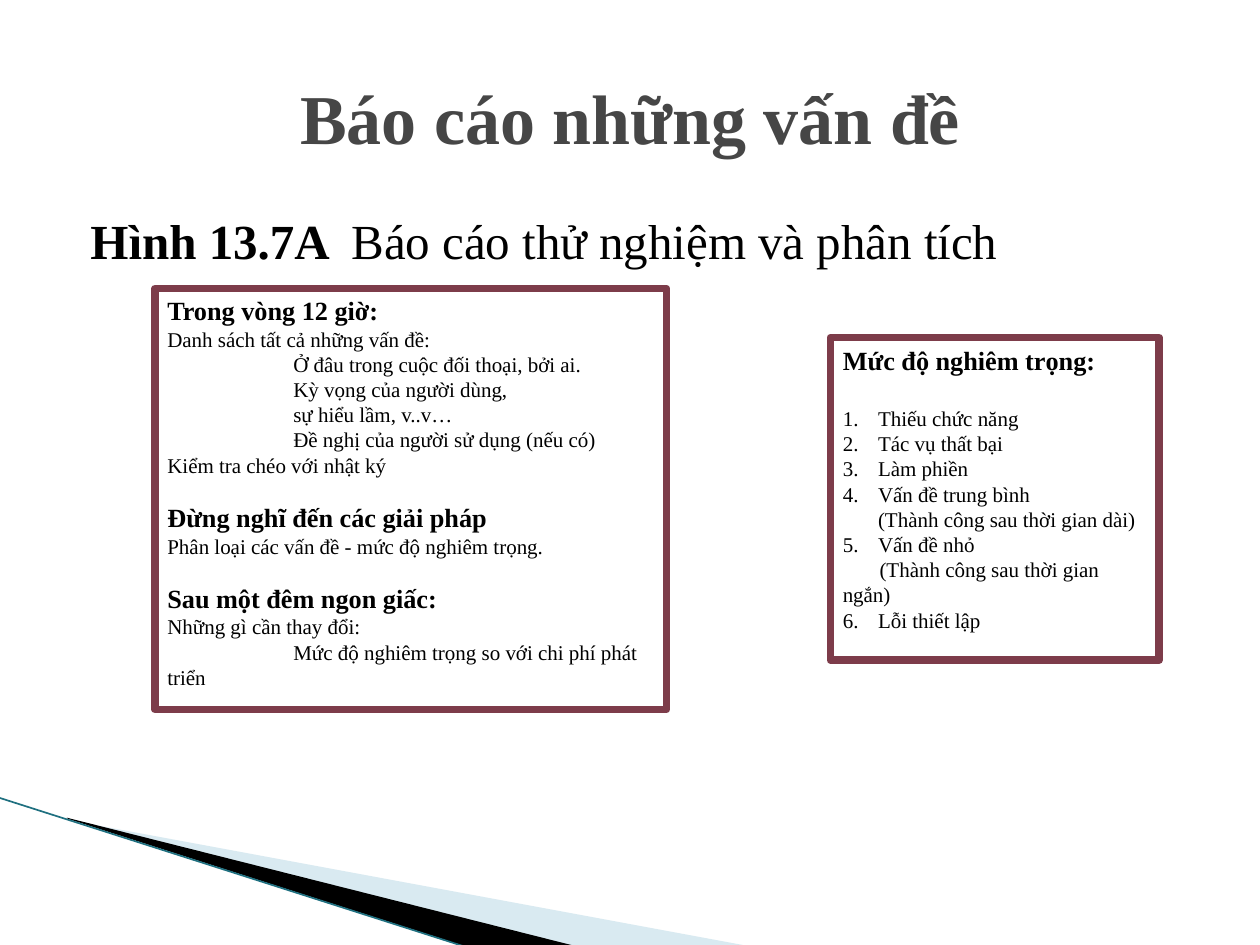
"""Build the slide on reporting test problems."""
from lxml.etree import SubElement
from pptx import Presentation
from pptx.dml.color import RGBColor
from pptx.enum.shapes import MSO_CONNECTOR, MSO_SHAPE
from pptx.enum.text import MSO_ANCHOR, PP_ALIGN
from pptx.oxml.ns import qn
from pptx.util import Pt

BLACK = RGBColor(0, 0, 0)
WHITE = RGBColor(255, 255, 255)
GREY = RGBColor(0x46, 0x46, 0x46)
WINE = RGBColor(0x7D, 0x3C, 0x4A)
PALE = RGBColor(0xA0, 0xCB, 0xDC)
TEAL = RGBColor(0x1F, 0x70, 0x80)


def add_run(para, text, size, bold=False, color=BLACK):
    run = para.add_run()
    run.text = text
    font = run.font
    font.name, font.size, font.bold = "Times New Roman", Pt(size), bold
    font.color.rgb = color


def set_indent(para, left, first):
    props = para._p.get_or_add_pPr()
    props.set("marL", str(Pt(left)))
    props.set("indent", str(Pt(first)))
    return props


deck = Presentation()
deck.slide_width, deck.slide_height = Pt(720), Pt(540)
slide = deck.slides.add_slide(deck.slide_layouts[6])
shapes = slide.shapes

wedges = [
    (PALE, [(39.6, 468.7), (428.4, 540.7), (328.3, 540.7), (39.6, 468)]),
    (BLACK, [(38.2, 467.3), (329, 540.7), (267.8, 541.4), (38.9, 468)]),
]
for color, points in wedges:
    spots = [(Pt(x), Pt(y)) for x, y in points]
    path = shapes.build_freeform(*spots[0])
    path.add_line_segments(spots[1:])
    wedge = path.convert_to_shape()
    wedge.shadow.inherit = False
    wedge.fill.solid()
    wedge.fill.fore_color.rgb = color
    wedge.line.fill.background()
    if color == PALE:
        tint = wedge._element.spPr.find(".//" + qn("a:srgbClr"))
        SubElement(tint, qn("a:alpha")).set("val", "40000")

edge = shapes.add_connector(MSO_CONNECTOR.STRAIGHT, Pt(-0.7), Pt(455.8), Pt(267.1), Pt(541.4))
edge.line.color.rgb = TEAL
edge.line.width = Pt(0.95)
SubElement(edge._element.spPr, qn("a:effectLst"))

body = shapes.add_textbox(Pt(36), Pt(116.6), Pt(648), Pt(356.4)).text_frame
body.word_wrap = True
para = body.paragraphs[0]
set_indent(para, 8.64, 0)
para.space_before = Pt(4)
add_run(para, "Hình 13.7A  ", 28, True)
add_run(para, "Báo cáo thử nghiệm và phân tích", 28)

title = shapes.add_textbox(Pt(36), Pt(21.6), Pt(648), Pt(90)).text_frame
title.word_wrap = True
title.vertical_anchor = MSO_ANCHOR.MIDDLE
para = title.paragraphs[0]
para.alignment = PP_ALIGN.CENTER
add_run(para, "Báo cáo những vấn đề", 40, True, GREY)

steps = [
    ("head", "Trong vòng 12 giờ:", 0),
    ("text", "Danh sách tất cả những vấn đề:", 0),
    ("deep", "Ở đâu trong cuộc đối thoại, bởi ai.", 0),
    ("deep", "Kỳ vọng của người dùng,", 0),
    ("deep", "sự hiểu lầm, v..v…", 0),
    ("deep", "Đề nghị của người sử dụng (nếu có)", 0),
    ("text", "Kiểm tra chéo với nhật ký", 0),
    ("head", "Đừng nghĩ đến các giải pháp", 13.8),
    ("text", "Phân loại các vấn đề - mức độ nghiêm trọng.", 0),
    ("head", "Sau một đêm ngon giấc:", 13.8),
    ("text", "Những gì cần thay đổi:", 0),
    ("deep", "Mức độ nghiêm trọng so với chi phí phát triển", 0),
]
levels = [
    ("head", "Mức độ nghiêm trọng:", 0),
    (1, "Thiếu chức năng", 17.25),
    (2, "Tác vụ thất bại", 0),
    (3, "Làm phiền", 0),
    (4, "Vấn đề trung bình\v(Thành công sau thời gian dài)", 0),
    (5, "Vấn đề nhỏ", 0),
    ("note", "(Thành công sau thời gian ngắn)", 0),
    (6, "Lỗi thiết lập", 0),
]
shifts = {"deep": 72, "note": 21}
panels = [
    ((88.56, 164.88, 292.32, 240.48), steps),
    ((474.48, 192.96, 187.92, 184.32), levels),
]
for area, rows in panels:
    panel = shapes.add_shape(MSO_SHAPE.RECTANGLE, *map(Pt, area))
    panel.shadow.inherit = False
    panel.fill.solid()
    panel.fill.fore_color.rgb = WHITE
    panel.line.color.rgb = WINE
    panel.line.width = Pt(4.33)
    frame = panel.text_frame
    frame.word_wrap = True
    frame.vertical_anchor = MSO_ANCHOR.TOP
    for index, (kind, text, gap) in enumerate(rows):
        para = frame.add_paragraph() if index else frame.paragraphs[0]
        para.alignment = PP_ALIGN.LEFT
        para.space_before = Pt(gap)
        if kind in shifts:
            set_indent(para, 0, shifts[kind])
        elif isinstance(kind, int):
            props = set_indent(para, 20.16, -20.16)
            SubElement(props, qn("a:buFont")).set("typeface", "Times New Roman")
            mark = SubElement(props, qn("a:buAutoNum"))
            mark.set("type", "arabicPeriod")
            mark.set("startAt", str(kind))
        for part, line in enumerate(text.split("\v")):
            if part:
                para.add_line_break()
            add_run(para, line, 15 if kind == "head" else 12, kind == "head")

deck.save("out.pptx")
